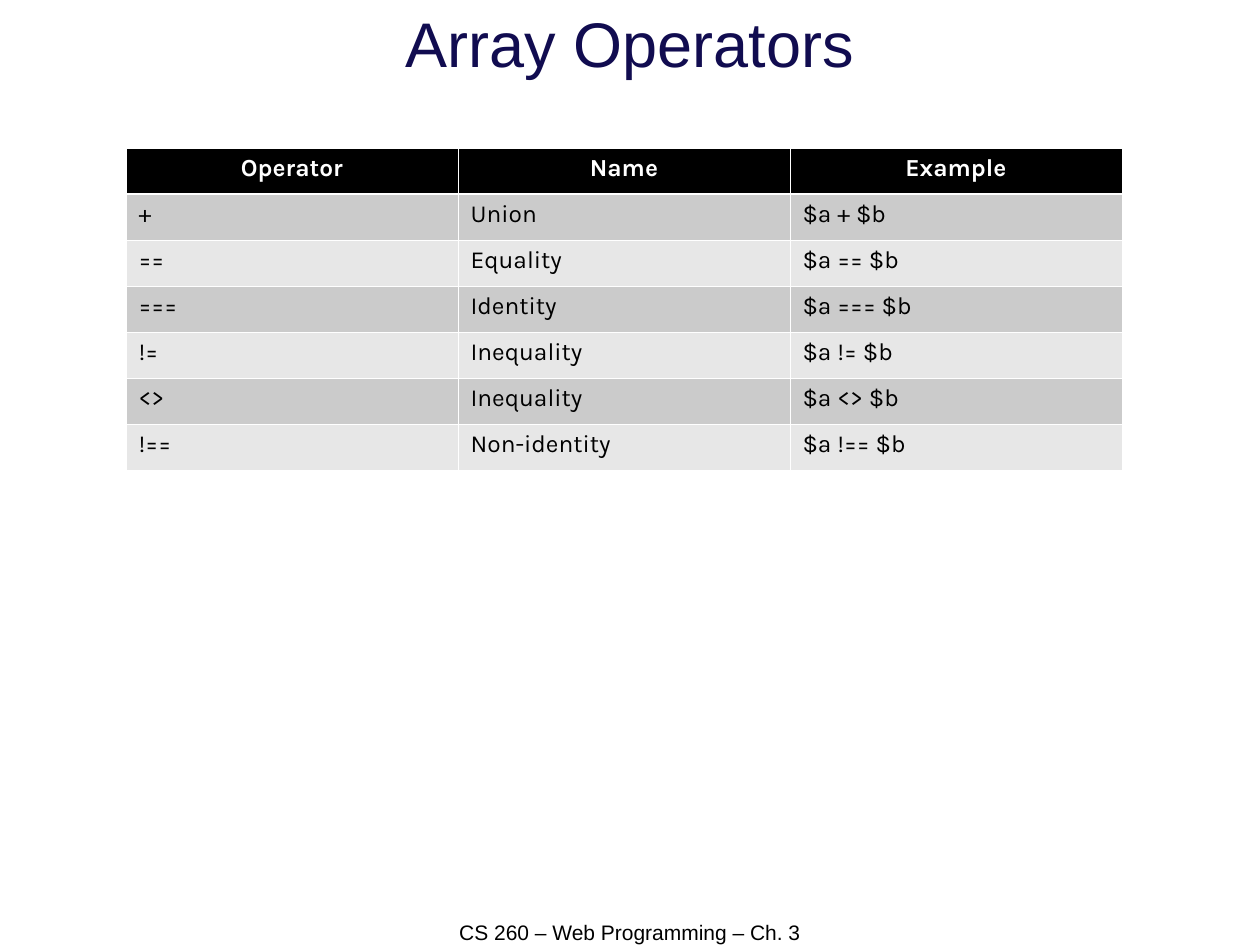
import lxml.etree
import pptx
import pptx.dml.color
import pptx.enum.text
import pptx.oxml.ns
import pptx.util

RGB = pptx.dml.color.RGBColor
NAVY = RGB(0x11, 0x0C, 0x50)
BLACK = RGB(0x00, 0x00, 0x00)
WHITE = RGB(0xFF, 0xFF, 0xFF)
DARK = RGB(0xCB, 0xCB, 0xCB)
LIGHT = RGB(0xE7, 0xE7, 0xE7)

ALIGN = pptx.enum.text.PP_ALIGN
ANCHOR = pptx.enum.text.MSO_ANCHOR
SCALE = 914400 / 126
THIN, THICK = 0.45, 1.47

HEAD = ("Operator", "Name", "Example")
NAMES = (
    ("+", "Union"),
    ("==", "Equality"),
    ("===", "Identity"),
    ("!=", "Inequality"),
    ("<>", "Inequality"),
    ("!==", "Non-identity"),
)


def px(num):
    return pptx.util.Emu(round(num * SCALE))


class Deck:
    """Holds the fonts and the current slide."""

    sans = "Arial"
    grid = "Karla"

    def __init__(self, wide, high):
        self.show = pptx.Presentation()
        self.show.slide_width = px(wide)
        self.show.slide_height = px(high)
        self.slide = self.show.slides.add_slide(self.show.slide_layouts[6])

    def label(self, frame, text, font, size, color, align, bold=False):
        para = frame.paragraphs[0]
        para.alignment = align
        run = para.add_run()
        run.text = text
        run.font.name = font
        run.font.size = pptx.util.Pt(size)
        run.font.bold = bold
        run.font.color.rgb = color

    def text(self, box, text, size, color, anchor):
        frame = self.slide.shapes.add_textbox(*map(px, box)).text_frame
        frame.word_wrap = True
        frame.vertical_anchor = anchor
        self.label(frame, text, self.sans, size, color, ALIGN.CENTER)

    def edge(self, cell, side, width):
        """Draw a white border on one side of a cell."""
        qn = pptx.oxml.ns.qn
        props = cell._tc.get_or_add_tcPr()
        line = lxml.etree.SubElement(props, qn("a:ln" + side))
        line.set("w", str(pptx.util.Pt(width)))
        fill = lxml.etree.SubElement(line, qn("a:solidFill"))
        lxml.etree.SubElement(fill, qn("a:srgbClr")).set("val", str(WHITE))

    def table(self, left, top, wide, high, rows):
        """Lay out rows under a black header; wide and high are of one cell."""
        count = len(rows[0])
        table = self.slide.shapes.add_table(
            len(rows), count, px(left), px(top),
            px(wide * count), px(high * len(rows))).table
        table.first_row = table.horz_banding = False
        for col in table.columns:
            col.width = px(wide)
        for i, row in enumerate(rows):
            table.rows[i].height = px(high)
            head = i == 0
            fill = BLACK if head else DARK if i % 2 else LIGHT
            for j, text in enumerate(row):
                cell = table.cell(i, j)
                # Borders go before the fill, as the schema orders them
                for side in "LRTB":
                    thick = (i, side) in ((0, "B"), (1, "T"))
                    self.edge(cell, side, THICK if thick else THIN)
                cell.fill.solid()
                cell.fill.fore_color.rgb = fill
                self.label(cell.text_frame, text, self.grid, 14,
                           WHITE if head else BLACK,
                           ALIGN.CENTER if head else ALIGN.LEFT, head)

    def save(self):
        self.show.save("out.pptx")


def main():
    deck = Deck(1260, 945)
    deck.text((0, 0, 1260, 84), "Array Operators", 36, NAVY, ANCHOR.MIDDLE)
    rows = [HEAD] + [(sign, name, f"$a {sign} $b") for sign, name in NAMES]
    deck.table(126, 148, 332, 46, rows)
    deck.text((430, 913, 400, 32), "CS 260 – Web Programming – Ch. 3",
              12, BLACK, ANCHOR.TOP)
    deck.save()


if __name__ == "__main__":
    main()
